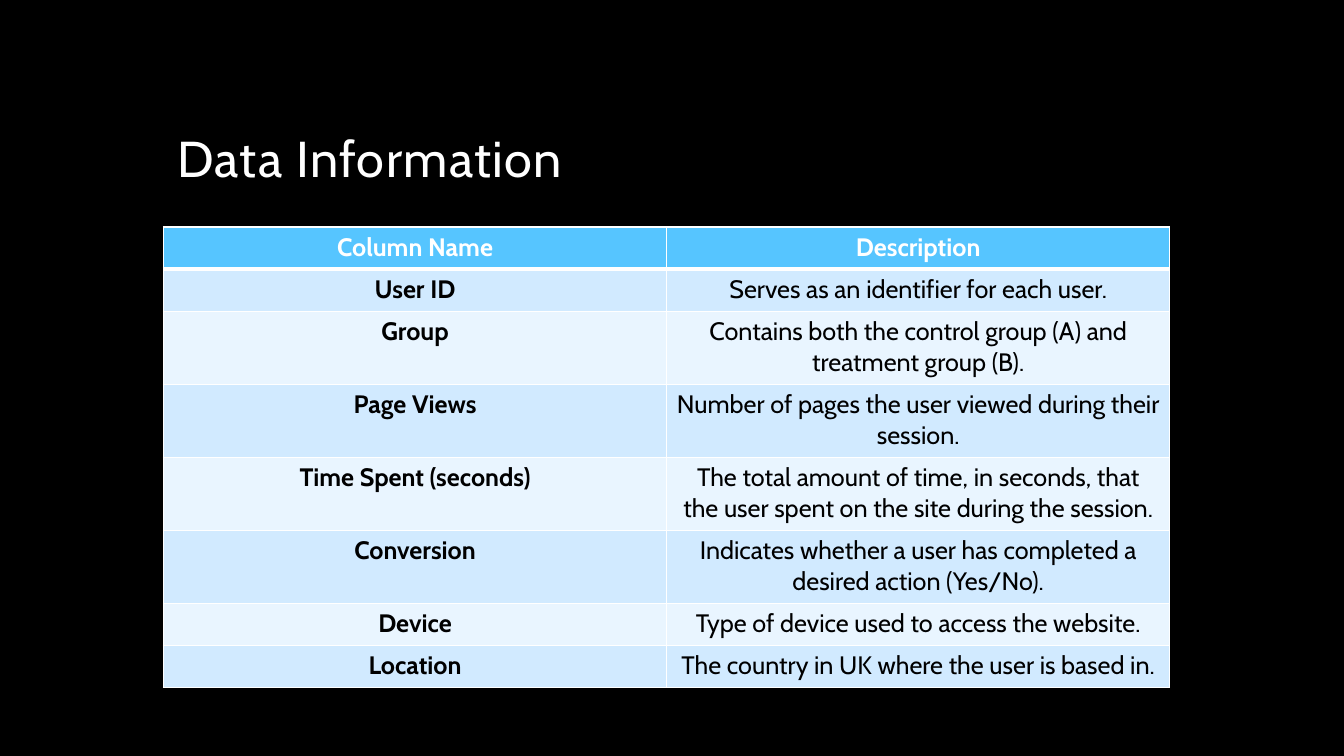
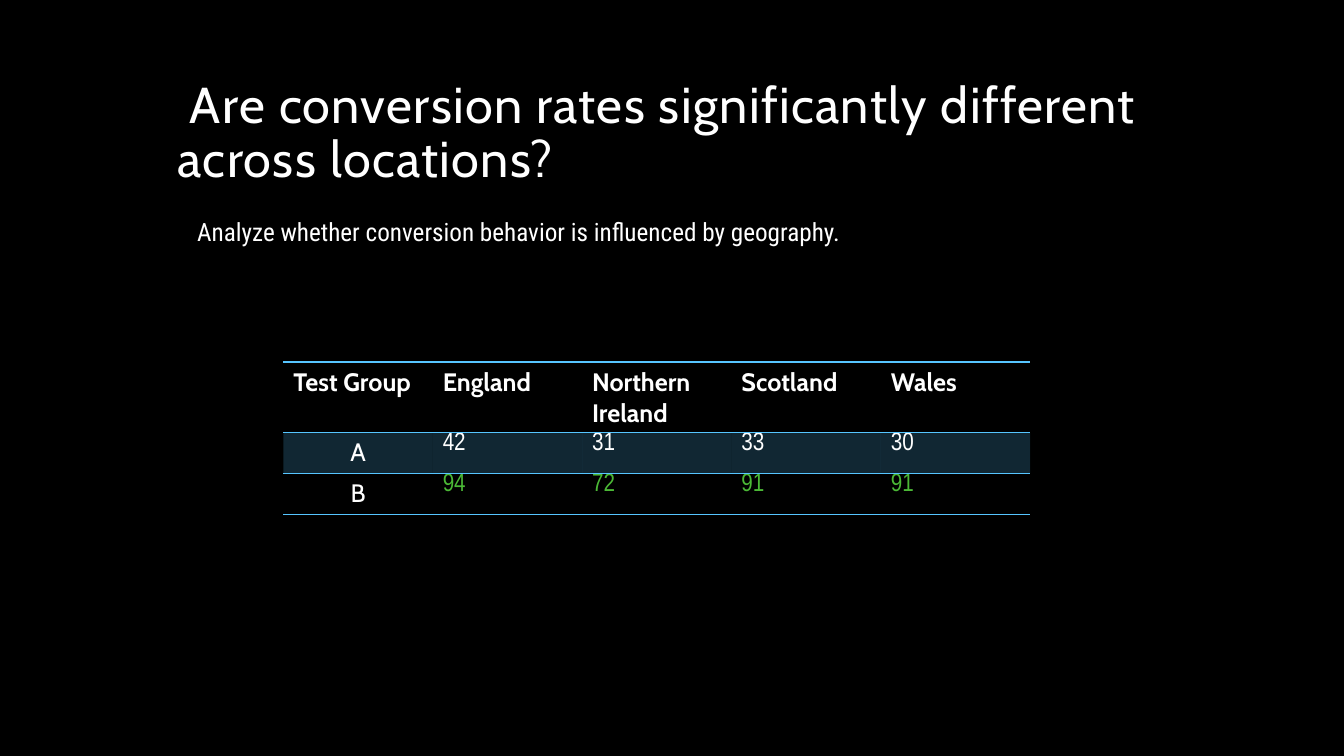
from dataclasses import dataclass

from lxml import etree
from pptx import Presentation
from pptx.dml.color import RGBColor
from pptx.enum.text import MSO_ANCHOR, PP_ALIGN
from pptx.oxml.ns import qn
from pptx.util import Cm, Pt

# Shared look
LEFT, CENTER = PP_ALIGN.LEFT, PP_ALIGN.CENTER
TOP, BOTTOM = MSO_ANCHOR.TOP, MSO_ANCHOR.BOTTOM
BLACK, WHITE, SKY, GREEN = "000000", "FFFFFF", "56C5FF", "4BB836"
BANDS = ("D1EAFF", "E9F5FF")
HEADING_FONT, BODY_FONT, NUMBER_FONT = "Cabin", "Roboto Condensed", "Arial Narrow"
TITLE_SIZE, BODY_SIZE = 36, 18
BLANK_LAYOUT = 6
PLAIN_TABLE_STYLE = "{2D5ABB26-0587-4C30-8999-92F81FD0307C}"
BORDER_TAGS = {"left": "a:lnL", "right": "a:lnR", "top": "a:lnT", "bottom": "a:lnB"}

# Slide content
DATA_COLUMNS = (
    ("Column Name", "Description"),
    ("User ID", "Serves as an identifier for each user."),
    ("Group", "Contains both the control group (A) and treatment group (B)."),
    ("Page Views", "Number of pages the user viewed during their session."),
    ("Time Spent (seconds)",
     "The total amount of time, in seconds, that the user spent on the site during the session."),
    ("Conversion", "Indicates whether a user has completed a desired action (Yes/No)."),
    ("Device", "Type of device used to access the website."),
    ("Location", "The country in UK where the user is based in."),
)
CONVERSIONS = (
    ("Test Group", "England", "Northern Ireland", "Scotland", "Wales"),
    ("A", "42", "31", "33", "30"),
    ("B", "94", "72", "91", "91"),
)


@dataclass(frozen=True)
class Box:
    left: float
    top: float
    width: float
    height: float

    def lengths(self):
        return Cm(self.left), Cm(self.top), Cm(self.width), Cm(self.height)


@dataclass(frozen=True)
class TextStyle:
    font: str = HEADING_FONT
    size: int = BODY_SIZE
    color: str = WHITE
    bold: bool = False
    align: PP_ALIGN = LEFT
    spacing: int = 0
    line_spacing: float = 1.0


@dataclass(frozen=True)
class Border:
    color: str
    width: float


TITLE_BOX = Box(4.22, 1.07, 25.4, 3.81)
TITLE_STYLE = TextStyle(size=TITLE_SIZE, spacing=100, line_spacing=0.9)


def rgb(color: str) -> RGBColor:
    return RGBColor.from_string(color)


def write_text(text_frame, text: str, style: TextStyle) -> None:
    text_frame.text = text
    for paragraph in text_frame.paragraphs:
        paragraph.alignment = style.align
        paragraph.line_spacing = style.line_spacing
        for run in paragraph.runs:
            run.font.name = style.font
            run.font.size = Pt(style.size)
            run.font.bold = style.bold
            run.font.color.rgb = rgb(style.color)
            if style.spacing:
                run.font._element.set("spc", str(style.spacing))


def add_text(slide, box: Box, text: str, style: TextStyle, anchor: MSO_ANCHOR = TOP) -> None:
    text_frame = slide.shapes.add_textbox(*box.lengths()).text_frame
    text_frame.word_wrap = True
    text_frame.vertical_anchor = anchor
    write_text(text_frame, text, style)


def add_titled_slide(presentation, title: str):
    slide = presentation.slides.add_slide(presentation.slide_layouts[BLANK_LAYOUT])
    slide.background.fill.solid()
    slide.background.fill.fore_color.rgb = rgb(BLACK)
    add_text(slide, TITLE_BOX, title, TITLE_STYLE, BOTTOM)
    return slide


def add_plain_table(slide, box: Box, row_heights: list[float], column_count: int):
    frame = slide.shapes.add_table(len(row_heights), column_count, *box.lengths())
    for style_id in frame.element.iter(qn("a:tableStyleId")):
        style_id.text = PLAIN_TABLE_STYLE
    table = frame.table
    table.horz_banding = False
    for column in table.columns:
        column.width = Cm(box.width / column_count)
    for row, height in zip(table.rows, row_heights):
        row.height = Cm(height)
    return table


def fill_cell(cell, color: str, opacity: int = 100) -> None:
    cell.fill.solid()
    cell.fill.fore_color.rgb = rgb(color)
    if opacity < 100:
        for color_element in cell._tc.tcPr.iter(qn("a:srgbClr")):
            etree.SubElement(color_element, qn("a:alpha"), val=str(opacity * 1000))


def set_borders(cell, borders: dict[str, Border]) -> None:
    properties = cell._tc.get_or_add_tcPr()
    sides = [side for side in BORDER_TAGS if side in borders]
    for position, side in enumerate(sides):
        border = borders[side]
        line = etree.Element(qn(BORDER_TAGS[side]), w=str(Pt(border.width)))
        solid = etree.SubElement(line, qn("a:solidFill"))
        etree.SubElement(solid, qn("a:srgbClr"), val=border.color)
        properties.insert(position, line)


def build_data_information(presentation) -> None:
    slide = add_titled_slide(presentation, "Data Information")
    single, double = 1.06, 1.84
    heights = [single, single] + [double] * 4 + [single, single]
    table = add_plain_table(slide, Box(4.12, 5.72, 25.36, sum(heights)), heights, 2)
    thin, thick = Border(WHITE, 1), Border(WHITE, 3)
    for row, texts in enumerate(DATA_COLUMNS):
        header = row == 0
        for column, text in enumerate(texts):
            cell = table.cell(row, column)
            write_text(cell.text_frame, text, TextStyle(
                color=WHITE if header else BLACK, bold=header or column == 0, align=CENTER))
            fill_cell(cell, SKY if header else BANDS[(row - 1) % 2])
            set_borders(cell, {
                "left": thin, "right": thin,
                "top": thick if row == 1 else thin,
                "bottom": thick if header else thin,
            })


def build_location_rates(presentation) -> None:
    slide = add_titled_slide(
        presentation, " Are conversion rates significantly different across locations?")
    add_text(slide, Box(4.72, 5.33, 24.41, 1.02),
             "Analyze whether conversion behavior is influenced by geography.",
             TextStyle(font=BODY_FONT))
    heights = [1.78, 1.03, 1.03]
    table = add_plain_table(
        slide, Box(7.14, 9.12, 18.82, sum(heights)), heights, len(CONVERSIONS[0]))
    rule = Border(SKY, 1)
    row_borders = ({"top": rule, "bottom": rule}, {"top": rule}, {"bottom": rule})
    number_colors = (WHITE, WHITE, GREEN)
    for row, texts in enumerate(CONVERSIONS):
        for column, text in enumerate(texts):
            cell = table.cell(row, column)
            if row == 0:
                style = TextStyle(bold=True)
            elif column == 0:
                style = TextStyle(align=CENTER)
            else:
                style = TextStyle(font=NUMBER_FONT, color=number_colors[row])
                cell.margin_top = cell.margin_bottom = Cm(0)
            write_text(cell.text_frame, text, style)
            if row == 1:
                fill_cell(cell, SKY, 20)
            set_borders(cell, row_borders[row])


def main() -> None:
    presentation = Presentation()
    presentation.slide_width, presentation.slide_height = Cm(33.87), Cm(19.05)
    build_data_information(presentation)
    build_location_rates(presentation)
    presentation.save("out.pptx")


if __name__ == "__main__":
    main()
